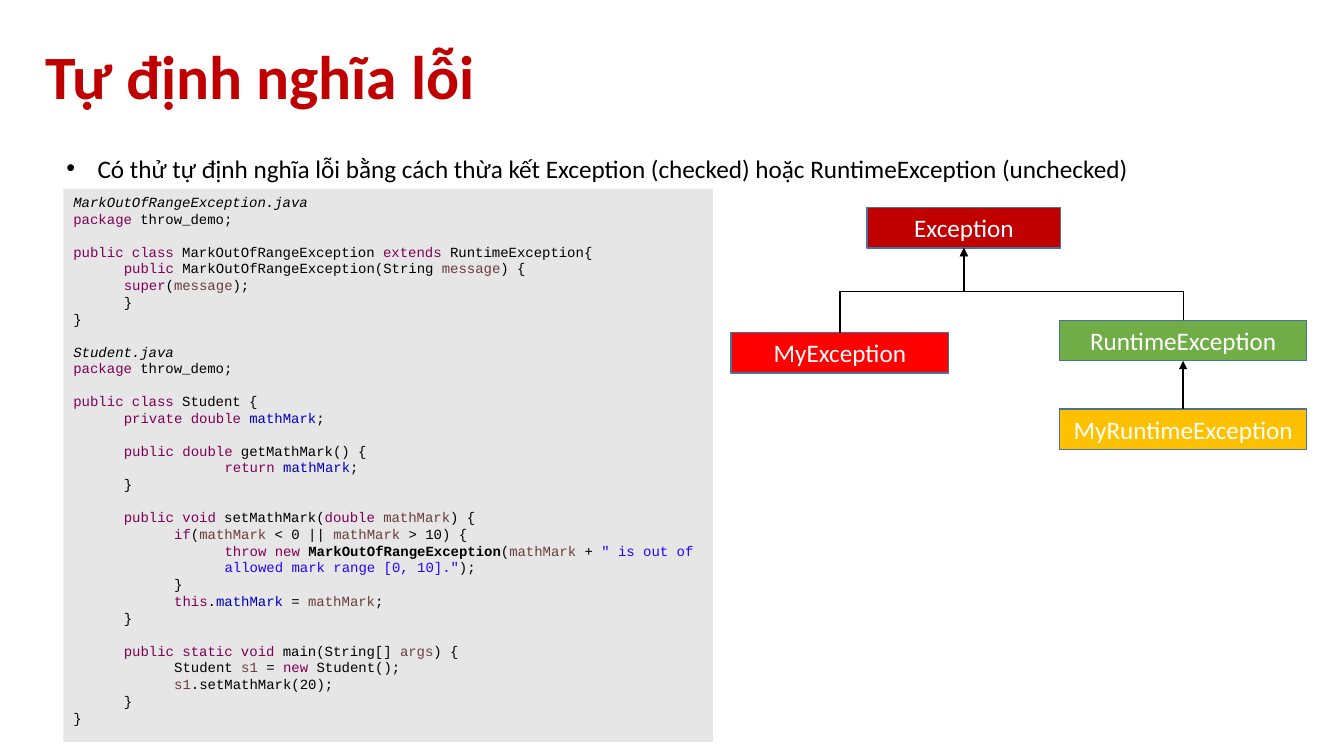
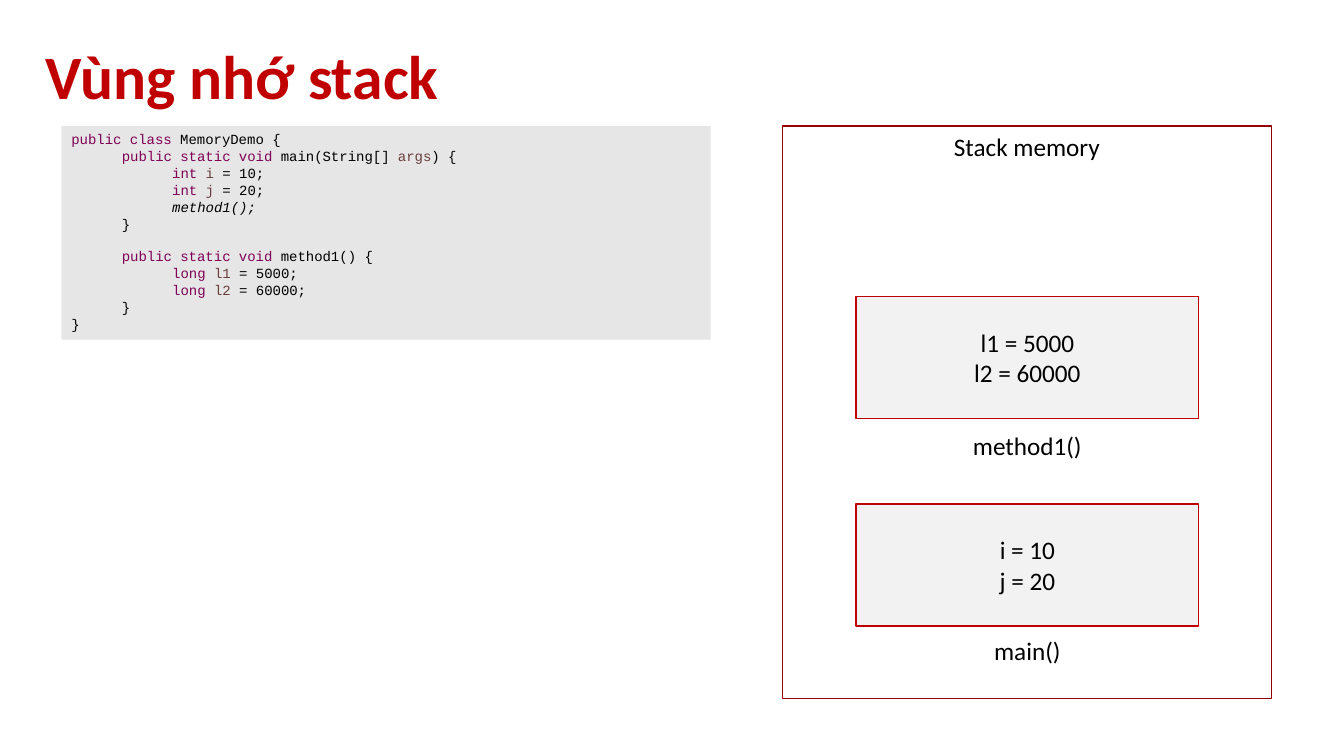
import pptx
import pptx.util
import pptx.dml.color
import pptx.enum.shapes
import pptx.enum.text
import pptx.oxml
import pptx.oxml.ns

PX = 9144  # EMU per px, 100 px to the inch
BODY_FONT, CODE_FONT = "Calibri", "Courier New"
BODY_SIZE, CODE_SIZE, TITLE_SIZE = 18, 10, 44
CODE_LINE = 11.33  # height of one code line in points
RED, BLACK, WHITE = "C00000", "000000", "FFFFFF"
CODE_FILL, FRAME_FILL = "E7E6E6", "F2F2F2"
STACK_LINE, CLASS_LINE = "920000", "43739E"
SYNTAX = {"k": "7F0055", "v": "6A3E3E", "f": "0000C0", "s": "2A00FF"}
MIDDLE = pptx.enum.text.MSO_ANCHOR.MIDDLE
TOP = pptx.enum.text.MSO_ANCHOR.TOP
CENTER = pptx.enum.text.PP_ALIGN.CENTER
LEFT = pptx.enum.text.PP_ALIGN.LEFT

# Four spaces make one indent level; `x...` marks a run of style x:
# k keyword, v variable, f field, s string, i italic, b bold.
EXCEPTION_CODE = [
    "`iMarkOutOfRangeException.java`",
    "`kpackage `throw_demo;",
    "",
    "`kpublic class `MarkOutOfRangeException `kextends `RuntimeException{",
    "    `kpublic `MarkOutOfRangeException(String `vmessage`) {",
    "    `ksuper`(`vmessage`);",
    "    }",
    "}",
    "",
    "`iStudent.java`",
    "`kpackage `throw_demo;",
    "",
    "`kpublic class` Student {",
    "    `kprivate double ``fmathMark`;",
    "",
    "    `kpublic double `getMathMark() {",
    "            `kreturn ``fmathMark`;",
    "    }",
    "",
    "    `kpublic void `setMathMark(`kdouble ``vmathMark`) {",
    "        `kif`(`vmathMark` < 0 || `vmathMark` > 10) {",
    "            `kthrow new ``bMarkOutOfRangeException`(`vmathMark` + "
    "`s\" is out of allowed mark range [0, 10].\"`);",
    "        }",
    "        `kthis`.`fmathMark` = `vmathMark`;",
    "    }",
    "",
    "    `kpublic static void` main(String[] `vargs`) {",
    "        Student `vs1` = `knew` Student();",
    "        `vs1`.setMathMark(20);",
    "    }",
    "}",
]

STACK_CODE = [
    "`kpublic class `MemoryDemo {",
    "    `kpublic static void` main(String[] `vargs`) {",
    "        `kint ``vi` = 10;",
    "        `kint ``vj` = 20;",
    "        `imethod1();`",
    "    }",
    "",
    "    `kpublic static void` method1() {",
    "        `klong ``vl1` = 5000;",
    "        `klong ``vl2` = 60000;",
    "    }",
    "}",
]


def px(n):
    return pptx.util.Emu(round(n * PX))


def rgb(color):
    return pptx.dml.color.RGBColor.from_string(color)


def add_xml(parent, tag, attributes="", inner=""):
    ns = pptx.oxml.ns.nsdecls("a")
    parent.append(pptx.oxml.parse_xml(f"<a:{tag} {ns} {attributes}>{inner}</a:{tag}>"))


def style_run(r, size, color, font=BODY_FONT, bold=False, italic=False):
    r.font.name = font
    r.font.size = pptx.util.Pt(size)
    r.font.color.rgb = rgb(color)
    r.font.bold = bold
    r.font.italic = italic


def write(tf, text, color, size=BODY_SIZE, bold=False, align=LEFT, spacing=None):
    tf.word_wrap = True
    tf.text = text
    for p in tf.paragraphs:
        p.alignment = align
        if spacing:
            p.line_spacing = spacing
        for r in p.runs:
            style_run(r, size, color, bold=bold)


def add_text(slide, x, y, w, h, text, color=BLACK, **style):
    tf = slide.shapes.add_textbox(px(x), px(y), px(w), px(h)).text_frame
    write(tf, text, color, **style)
    return tf


def add_title(slide, text):
    tf = add_text(slide, 45, 60, 1243, 40, text, RED,
                  size=TITLE_SIZE, bold=True, spacing=0.85)
    tf.margin_left = tf.margin_right = tf.margin_top = tf.margin_bottom = 0
    tf.vertical_anchor = MIDDLE


def set_indent(p, left, first):
    pPr = p._p.get_or_add_pPr()
    pPr.set("marL", str(px(left)))
    pPr.set("indent", str(px(first)))
    return pPr


def add_bullet(slide, x, y, w, h, text):
    tf = add_text(slide, x, y, w, h, text, spacing=1.5)
    pPr = set_indent(tf.paragraphs[0], 31, -31)
    add_xml(pPr, "buFont", 'typeface="Arial"')
    add_xml(pPr, "buChar", 'char="•"')


def add_rect(slide, x, y, w, h, fill, line=None):
    sp = slide.shapes.add_shape(pptx.enum.shapes.MSO_SHAPE.RECTANGLE,
                                px(x), px(y), px(w), px(h))
    sp.shadow.inherit = False
    sp.fill.solid()
    sp.fill.fore_color.rgb = rgb(fill)
    if line:
        sp.line.color.rgb = rgb(line)
        sp.line.width = pptx.util.Pt(1)
    else:
        sp.line.fill.background()
    return sp


def add_box(slide, x, y, w, h, text, fill, line, color=BLACK, anchor=MIDDLE):
    sp = add_rect(slide, x, y, w, h, fill, line)
    sp.text_frame.vertical_anchor = anchor
    write(sp.text_frame, text, color, align=CENTER)
    return sp


def add_code_runs(p, text):
    for i, part in enumerate(text.split("`")):
        if not part:
            continue
        mark, part = (part[0], part[1:]) if i % 2 else ("", part)
        r = p.add_run()
        r.text = part
        style_run(r, CODE_SIZE, SYNTAX.get(mark, BLACK), CODE_FONT,
                  bold=mark == "b", italic=mark == "i")


def add_code(slide, x, y, w, h, lines):
    """Panel of marked-up code; an empty line becomes space before the next."""
    tf = add_rect(slide, x, y, w, h, CODE_FILL).text_frame
    tf.word_wrap = True
    tf.vertical_anchor = TOP
    gap = 0
    for i, line in enumerate(lines):
        if not line:
            gap = CODE_LINE
            continue
        p = tf.add_paragraph() if i else tf.paragraphs[0]
        p.alignment = LEFT
        p.space_before = pptx.util.Pt(gap)
        gap = 0
        text = line.lstrip(" ")
        p.level = (len(line) - len(text)) // 4
        set_indent(p, 50 * p.level, 0)
        add_code_runs(p, text)


def add_arrow(slide, child, parent, kind=pptx.enum.shapes.MSO_CONNECTOR.STRAIGHT):
    """Arrow from the top of child to the bottom of parent."""
    cxn = slide.shapes.add_connector(kind, 0, 0, 0, 0)
    cxn.begin_connect(child, 0)
    cxn.end_connect(parent, 2)
    cxn.line.color.rgb = rgb(BLACK)
    cxn.line.width = pptx.util.Pt(1)
    spPr = cxn._element.spPr
    add_xml(spPr.find(pptx.oxml.ns.qn("a:ln")), "tailEnd", 'type="triangle"')
    add_xml(spPr, "effectLst")
    return cxn


def add_elbow_arrow(slide, child, parent, bus_y):
    """Arrow that goes up, turns along bus_y, and goes up again."""
    cxn = add_arrow(slide, child, parent, pptx.enum.shapes.MSO_CONNECTOR.ELBOW)
    x1, y1 = child.left + child.width // 2, child.top
    x2, y2 = parent.left + parent.width // 2, parent.top + parent.height
    rise, run = y1 - y2, abs(x2 - x1)
    # A quarter turn makes the elbow leave vertically, so the sides swap.
    cxn.width, cxn.height = rise, run
    cxn.left = (x1 + x2 - rise) // 2
    cxn.top = (y1 + y2 - run) // 2
    spPr = cxn._element.spPr
    xfrm = spPr.find(pptx.oxml.ns.qn("a:xfrm"))
    xfrm.set("rot", str(270 * 60000))
    xfrm.set("flipH", "0")
    xfrm.set("flipV", "1" if x2 < x1 else "0")
    geom = spPr.find(pptx.oxml.ns.qn("a:prstGeom"))
    for old in list(geom):
        geom.remove(old)
    bend = round(100000 * (y1 - px(bus_y)) / rise)
    add_xml(geom, "avLst", inner=f'<a:gd name="adj1" fmla="val {bend}"/>')


def add_class(slide, x, y, w, name, fill):
    return add_box(slide, x, y, w, 40, name, fill, CLASS_LINE, WHITE)


def add_stack_frame(slide, y, label_y, method, variables):
    x, w = 849, 340
    add_box(slide, x, y, w, 121, variables, FRAME_FILL, RED)
    add_text(slide, x, label_y, w, 40, method, align=CENTER)


def build_exception_slide(slide):
    add_title(slide, "Tự định nghĩa lỗi")
    add_bullet(slide, 56, 132, 1216, 51,
               "Có thử tự định nghĩa lỗi bằng cách thừa kết Exception (checked) "
               "hoặc RuntimeException (unchecked)")
    base = add_class(slide, 860, 206, 192, "Exception", RED)
    runtime = add_class(slide, 1051, 318, 245, "RuntimeException", "70AD47")
    my_runtime = add_class(slide, 1051, 406, 245, "MyRuntimeException", "FFC000")
    my_exception = add_class(slide, 725, 330, 216, "MyException", "FF0000")
    for child in (runtime, my_exception):
        add_elbow_arrow(slide, child, base, 289)
    add_arrow(slide, my_runtime, runtime)
    add_code(slide, 63, 187, 644, 549, EXCEPTION_CODE)


def build_stack_slide(slide):
    add_title(slide, "Vùng nhớ stack")
    add_code(slide, 61, 125, 644, 212, STACK_CODE)
    add_box(slide, 776, 125, 485, 568, "Stack memory", WHITE, STACK_LINE, anchor=TOP)
    add_stack_frame(slide, 500, 625, "main()", "i = 10\nj = 20")
    add_stack_frame(slide, 294, 422, "method1()", "l1 = 5000\nl2 = 60000")


def main():
    prs = pptx.Presentation()
    prs.slide_width, prs.slide_height = px(1333), px(750)
    for build in (build_exception_slide, build_stack_slide):
        build(prs.slides.add_slide(prs.slide_layouts[6]))
    prs.save("out.pptx")


if __name__ == "__main__":
    main()
